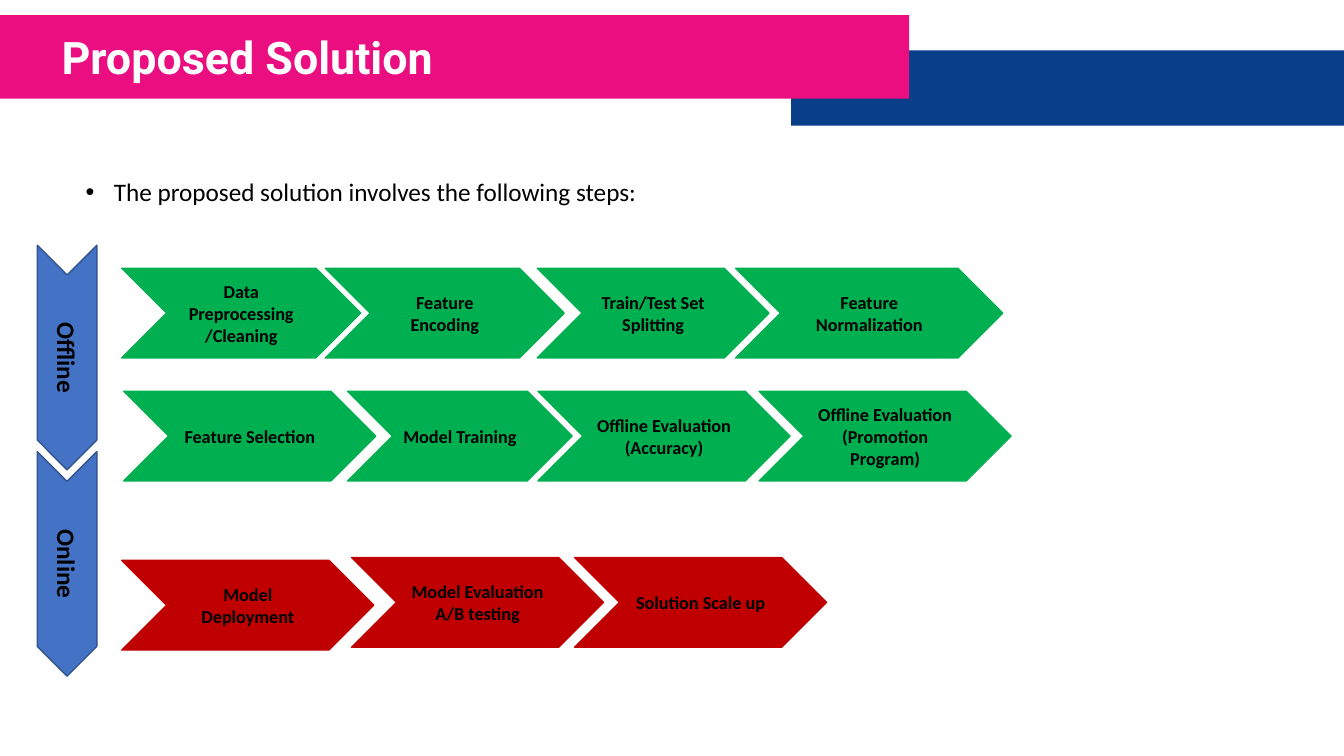
"""Build the Proposed Solution slide with its offline and online process steps."""
from dataclasses import dataclass

from pptx import Presentation
from pptx.dml.color import RGBColor
from pptx.enum.shapes import MSO_SHAPE as Preset
from pptx.enum.text import MSO_ANCHOR as Anchor, MSO_AUTO_SIZE as AutoSize, PP_ALIGN as Align
from pptx.util import Cm, Pt


@dataclass(frozen=True)
class Theme:
    pink: str = "EB0E81"
    navy: str = "083F88"
    green: str = "00B050"
    red: str = "C00000"
    blue: str = "4472C4"
    blue_edge: str = "325491"
    white: str = "FFFFFF"
    black: str = "000000"
    heading_font: str = "Roboto"
    body_font: str = "Calibri"
    heading_size: int = 32
    body_size: int = 18
    step_size: int = 13


@dataclass(frozen=True)
class Box:
    left: float
    top: float
    width: float
    height: float

    def place(self, shape):
        shape.left, shape.top = Cm(self.left), Cm(self.top)
        shape.width, shape.height = Cm(self.width), Cm(self.height)


@dataclass(frozen=True)
class Step:
    label: str
    left: float
    top: float
    width: float
    color: str


@dataclass(frozen=True)
class Phase:
    label: str
    top: float


THEME = Theme()
STEP_HEIGHT = 2.26
PREPARATION_TOP, TRAINING_TOP, ONLINE_TOP = 6.76, 9.86, 14.05
STEPS = [
    Step("Data Preprocessing\n/Cleaning", 3.07, PREPARATION_TOP, 6.02, THEME.green),
    Step("Feature Encoding", 8.2, PREPARATION_TOP, 6.02, THEME.green),
    Step("Train/Test Set Splitting", 13.54, PREPARATION_TOP, 5.84, THEME.green),
    Step("Feature Normalization", 18.54, PREPARATION_TOP, 6.73, THEME.green),
    Step("Feature Selection", 3.12, TRAINING_TOP, 6.35, THEME.green),
    Step("Model Training", 8.76, TRAINING_TOP, 5.66, THEME.green),
    Step("Offline Evaluation (Accuracy)", 13.56, TRAINING_TOP, 6.35, THEME.green),
    Step("Offline Evaluation (Promotion Program)", 19.13, TRAINING_TOP, 6.35, THEME.green),
    Step("Model Deployment", 3.07, ONLINE_TOP + 0.07, 6.35, THEME.red),
    Step("Model Evaluation A/B testing", 8.86, ONLINE_TOP, 6.35, THEME.red),
    Step("Solution Scale up", 14.48, ONLINE_TOP, 6.35, THEME.red),
]
PHASES = [Phase("Offline", 8.26), Phase("Online", 13.46)]


def write(shape, text: str, *, size: int, color: str = THEME.black,
          font: str = THEME.body_font, bold: bool = False,
          align: Align = Align.LEFT, anchor: Anchor = Anchor.MIDDLE,
          inset: float | None = None) -> None:
    frame = shape.text_frame
    frame.text = text
    frame.word_wrap = True
    frame.auto_size = AutoSize.NONE
    frame.vertical_anchor = anchor
    if inset is not None:
        frame.margin_left = frame.margin_right = Cm(inset)
        frame.margin_top = frame.margin_bottom = Cm(inset)
    for paragraph in frame.paragraphs:
        paragraph.alignment = align
        paragraph.space_before = Pt(0)
        for run in paragraph.runs:
            run.font.name = font
            run.font.size = Pt(size)
            run.font.bold = bold
            run.font.color.rgb = RGBColor.from_string(color)


def add_filled(slide, preset: Preset, box: Box, fill: str, edge: str | None = None):
    shape = slide.shapes.add_shape(preset, 0, 0, 0, 0)
    box.place(shape)
    shape.shadow.inherit = False
    shape.fill.solid()
    shape.fill.fore_color.rgb = RGBColor.from_string(fill)
    if edge is None:
        shape.line.fill.background()
    else:
        shape.line.color.rgb = RGBColor.from_string(edge)
        shape.line.width = Pt(1)
    return shape


def add_header(slide) -> None:
    bars = [(Box(19.94, 1.27, 13.93, 1.9), THEME.navy), (Box(0, 0.38, 22.91, 2.11), THEME.pink)]
    first_position = 2
    for position, (box, fill) in enumerate(bars, first_position):
        bar = add_filled(slide, Preset.RECTANGLE, box, fill)
        slide.shapes.element.insert(position, bar.element)
    title = slide.shapes.title
    Box(1.22, 0.58, 21.39, 1.7).place(title)
    write(title, "Proposed Solution", size=THEME.heading_size, color=THEME.white,
          font=THEME.heading_font, bold=True, inset=0.33)


def add_intro(slide) -> None:
    intro = slide.placeholders[1]
    Box(1.83, 4.11, 30, 13.44).place(intro)
    write(intro, "The proposed solution involves the following steps:",
          size=THEME.body_size, anchor=Anchor.TOP, inset=0.33)
    properties = intro.text_frame.paragraphs[0]._p.get_or_add_pPr()
    properties.set("marL", str(Cm(0.71)))
    properties.set("indent", str(Cm(-0.71)))


def add_step(slide, step: Step) -> None:
    box = Box(step.left, step.top, step.width, STEP_HEIGHT)
    chevron = add_filled(slide, Preset.CHEVRON, box, step.color, step.color)
    write(chevron, step.label, size=THEME.step_size, bold=True, align=Align.CENTER)


def add_phase(slide, phase: Phase) -> None:
    box = Box(-1.14, phase.top, 5.66, 1.5)
    chevron = add_filled(slide, Preset.CHEVRON, box, THEME.blue, THEME.blue_edge)
    chevron.rotation = 90
    write(chevron, phase.label, size=THEME.body_size, bold=True, align=Align.CENTER)


def main() -> None:
    presentation = Presentation()
    presentation.slide_width, presentation.slide_height = Cm(33.87), Cm(19.05)
    slide = presentation.slides.add_slide(presentation.slide_layouts[1])
    add_header(slide)
    add_intro(slide)
    for step in STEPS:
        add_step(slide, step)
    for phase in PHASES:
        add_phase(slide, phase)
    presentation.save("out.pptx")


if __name__ == "__main__":
    main()
